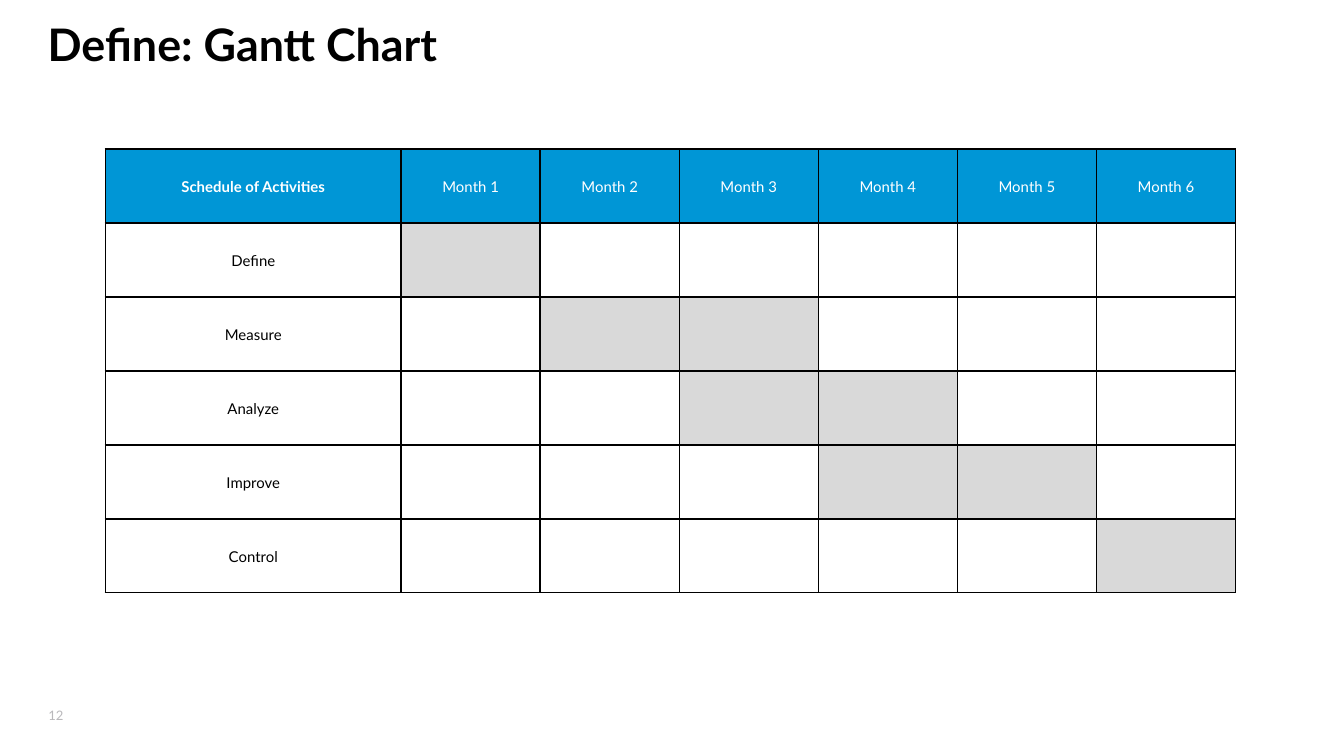
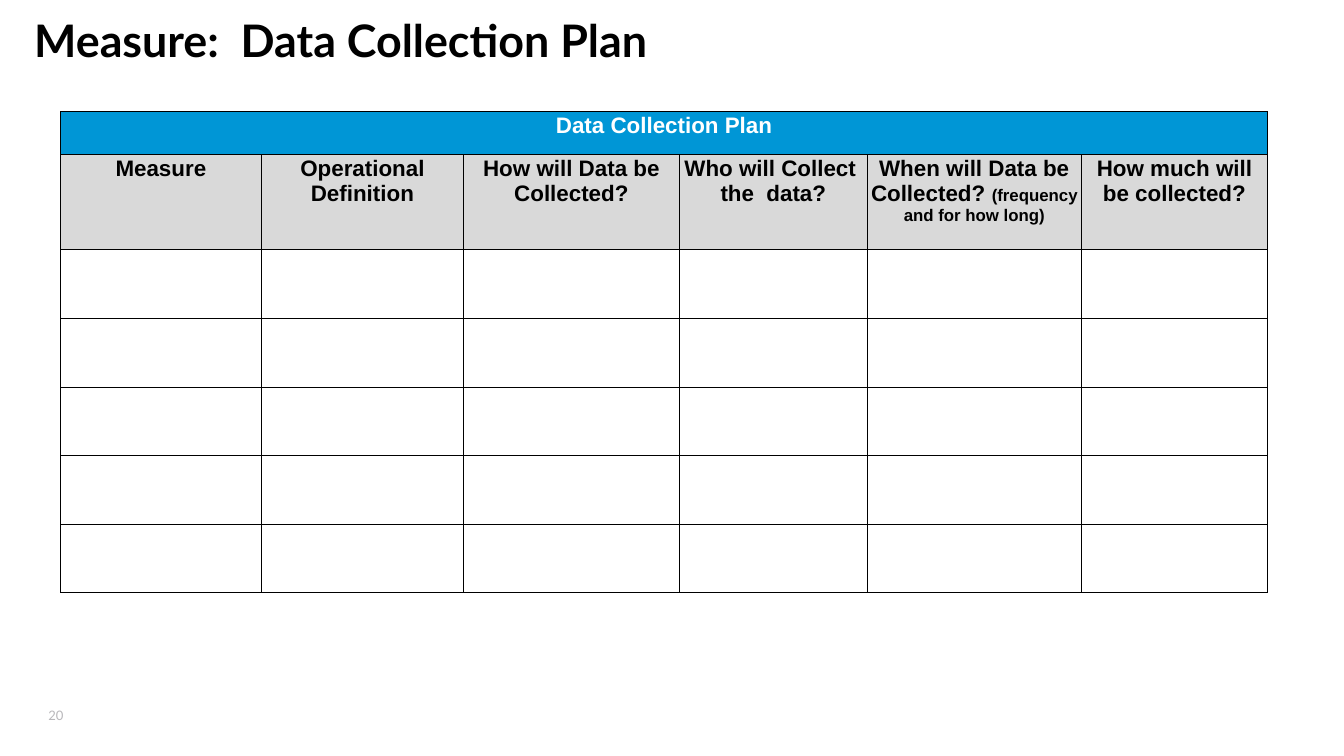
from lxml import etree
from pptx import Presentation
from pptx import util as u
from pptx.dml.color import RGBColor
from pptx.enum import text
from pptx.oxml.ns import qn

PX = 4572
BLUE, GREY, PALE = "0096D6", "D9D9D9", "B9B8BB"
BLACK, WHITE = "000000", "FFFFFF"


def px(n):
    return u.Emu(n * PX)


def color(value):
    return RGBColor.from_string(value)


def add_run(p, words, size, rgb, font="Lato", bold=False):
    r = p.add_run()
    r.text = words
    r.font.name = font
    r.font.size = u.Pt(size)
    r.font.bold = bold
    r.font.color.rgb = color(rgb)


def add_text(s, box, words, size, rgb, bold=False, insets=(0, 0, 0, 0),
             anchor=text.MSO_ANCHOR.TOP, wrap=True):
    tf = s.shapes.add_textbox(*map(px, box)).text_frame
    tf.margin_left, tf.margin_top, tf.margin_right, tf.margin_bottom = map(px, insets)
    tf.vertical_anchor = anchor
    tf.word_wrap = wrap
    add_run(tf.paragraphs[0], words, size, rgb, bold=bold)


def add_page(prs, title, title_box, number):
    s = prs.slides.add_slide(prs.slide_layouts[6])
    add_text(s, (72, 1049, 70, 32), number, 7, PALE, insets=(0, 10, 20, 10),
             anchor=text.MSO_ANCHOR.MIDDLE, wrap=False)
    add_text(s, title_box, title, 24, BLACK, bold=True)
    return s


def set_borders(cell, width):
    tcPr = cell._tc.get_or_add_tcPr()
    for i, side in enumerate(("lnL", "lnR", "lnT", "lnB")):
        ln = etree.Element(qn(f"a:{side}"), w=str(u.Pt(width)))
        fill = etree.SubElement(ln, qn("a:solidFill"))
        etree.SubElement(fill, qn("a:srgbClr"), val=BLACK)
        tcPr.insert(i, ln)


def add_grid(s, left, top, cols, rows, border):
    table = s.shapes.add_table(len(rows), len(cols), px(left), px(top),
                               px(sum(cols)), px(sum(rows))).table
    for col, width in zip(table.columns, cols):
        col.width = px(width)
    for row, height in zip(table.rows, rows):
        row.height = px(height)
    for cell in table.iter_cells():
        cell.fill.background()
        set_borders(cell, border)
    return table


def fill_cell(cell, rgb):
    cell.fill.solid()
    cell.fill.fore_color.rgb = color(rgb)


def write_cell(cell, runs, rgb, font="Lato", bold=False, anchor=text.MSO_ANCHOR.TOP):
    cell.margin_left = cell.margin_top = cell.margin_right = px(2)
    cell.margin_bottom = 0
    cell.vertical_anchor = anchor
    p = cell.text_frame.paragraphs[0]
    p.alignment = text.PP_ALIGN.CENTER
    for words, size in runs:
        add_run(p, words, size, rgb, font, bold)


def gantt_table(s, left, top):
    phases = {"Define": [1], "Measure": [2, 3], "Analyze": [3, 4],
              "Improve": [4, 5], "Control": [6]}
    months = [f"Month {n}" for n in range(1, 7)]
    middle = text.MSO_ANCHOR.MIDDLE
    table = add_grid(s, left, top, [440] + [207] * 6, [110] * 6, 1)
    for c, words in enumerate(["Schedule of Activities"] + months):
        cell = table.cell(0, c)
        fill_cell(cell, BLUE)
        write_cell(cell, [(words, 8)], WHITE, bold=c == 0, anchor=middle)
    for r, (phase, active) in enumerate(phases.items(), 1):
        write_cell(table.cell(r, 0), [(phase, 8)], BLACK, anchor=middle)
        for month in active:
            fill_cell(table.cell(r, month), GREY)


def collection_table(s, left, top):
    headings = [
        [("Measure", 12)],
        [("Operational Definition", 12)],
        [("How will Data be Collected?", 12)],
        [("Who will Collect  the  data?", 12)],
        [("When will Data be Collected? ", 12), ("(frequency and for how long)", 9)],
        [("How much will be collected?", 12)],
    ]
    table = add_grid(s, left, top, [299, 301, 321, 280, 318, 278],
                     [64, 142] + [102] * 5, 0.5)
    for cell in table.iter_cells():
        fill_cell(cell, WHITE)
    banner = table.cell(0, 0)
    banner.merge(table.cell(0, len(headings) - 1))
    fill_cell(banner, BLUE)
    write_cell(banner, [("Data Collection Plan", 12)], WHITE, "Arial", True)
    for c, runs in enumerate(headings):
        fill_cell(table.cell(1, c), GREY)
        write_cell(table.cell(1, c), runs, BLACK, "Arial", True)


def main():
    prs = Presentation()
    prs.slide_width, prs.slide_height = px(2000), px(1125)
    s = add_page(prs, "Define: Gantt Chart", (71, 25, 1860, 72), "12")
    gantt_table(s, 157, 222)
    s = add_page(prs, "Measure:  Data Collection Plan", (51, 19, 1800, 72), "20")
    collection_table(s, 90, 166)
    prs.save("out.pptx")


if __name__ == "__main__":
    main()
